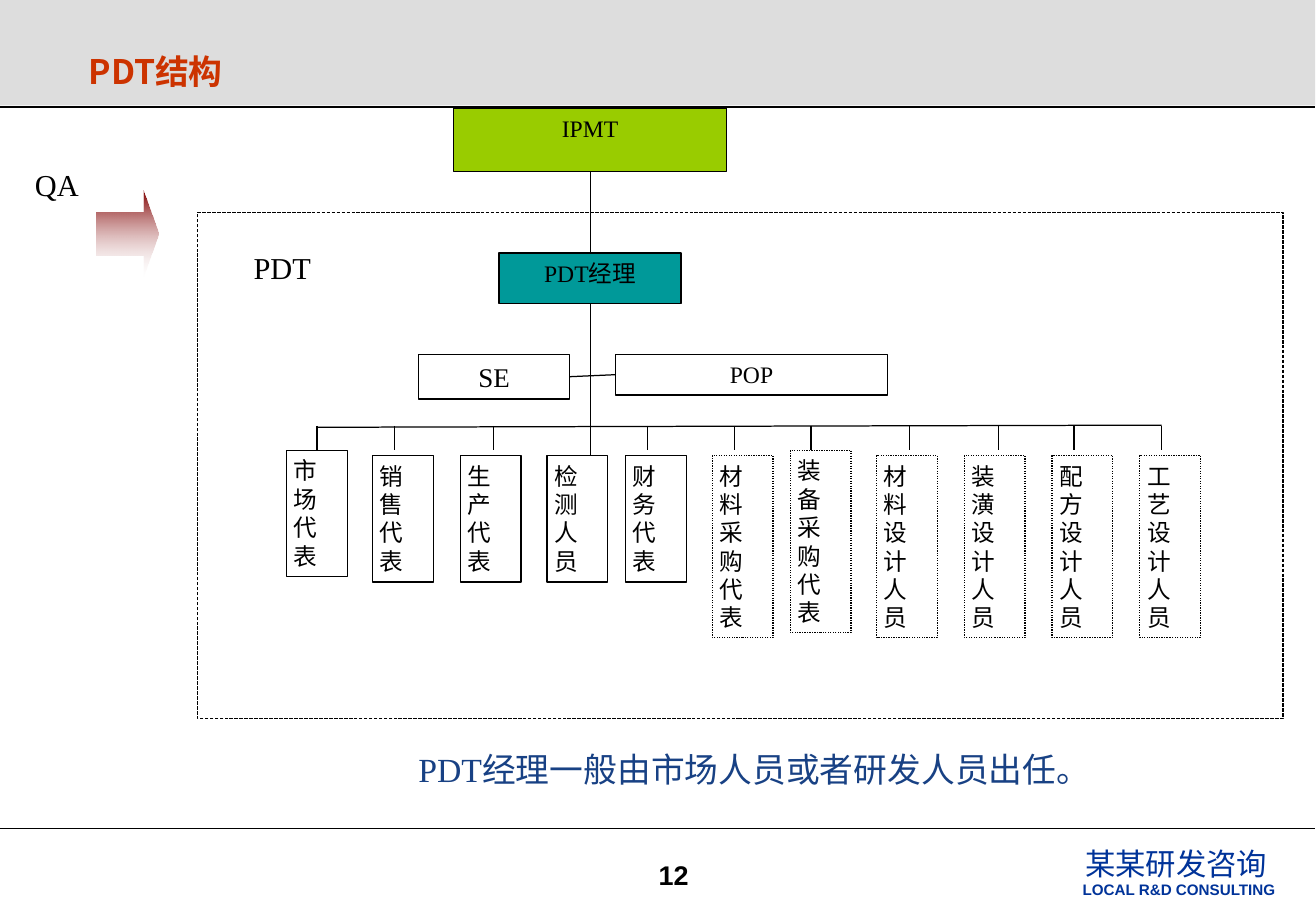
import pptx
import pptx.dml.color
import pptx.enum.dml
import pptx.enum.shapes
import pptx.enum.text
import pptx.oxml.ns
import pptx.util
from lxml import etree

Pt = pptx.util.Pt
SHAPES = pptx.enum.shapes.MSO_SHAPE
DASH = pptx.enum.dml.MSO_LINE
ALIGN = pptx.enum.text.PP_ALIGN
ANCHOR = pptx.enum.text.MSO_ANCHOR
qn = pptx.oxml.ns.qn
rgb = pptx.dml.color.RGBColor.from_string

SERIF, SANS, CJK = "Times New Roman", "Arial", "Noto Sans CJK SC"
BLACK = "000000"

deck = pptx.Presentation()
deck.slide_width, deck.slide_height = Pt(780.48), Pt(540)
page = deck.slides.add_slide(deck.slide_layouts[6])


def add_box(bounds, text="", size=14, font=SERIF, color=BLACK, bold=False, align=ALIGN.LEFT,
            anchor=ANCHOR.TOP, side_inset=7.2, fill=None, line=None, dash=None):
    """Add a rectangle, or a text box when it has neither fill nor line."""
    bounds = [Pt(value) for value in bounds]
    if fill or line:
        box = page.shapes.add_shape(SHAPES.RECTANGLE, *bounds)
        box.shadow.inherit = False
        box.fill.background()
        box.line.fill.background()
    else:
        box = page.shapes.add_textbox(*bounds)
    if fill:
        box.fill.solid()
        box.fill.fore_color.rgb = rgb(fill)
    if line:
        box.line.color.rgb = rgb(line)
        box.line.width = Pt(0.75)
        box.line.dash_style = dash
    if text:
        frame = box.text_frame
        frame.text = text
        frame.word_wrap = True
        frame.vertical_anchor = anchor
        frame.margin_left = frame.margin_right = Pt(side_inset)
        frame.margin_top = frame.margin_bottom = Pt(3.6)
        para = frame.paragraphs[0]
        para.alignment = align
        span = para.runs[0]
        span.font.size, span.font.name, span.font.bold = Pt(size), font, bold
        span.font.color.rgb = rgb(color)
        etree.SubElement(span.font._element, qn("a:ea"), typeface=CJK)
    return box


def add_line(x1, y1, x2, y2):
    line = page.shapes.add_connector(
        pptx.enum.shapes.MSO_CONNECTOR.STRAIGHT, Pt(x1), Pt(y1), Pt(x2), Pt(y2))
    line.line.color.rgb = rgb(BLACK)
    line.line.width = Pt(0.75)
    etree.SubElement(line._element.spPr, qn("a:effectLst"))
    return line


# Header and footer
add_box((0, 0, 780, 62.6), fill="DDDDDD")
for rule_y in (63.4, 491):
    add_line(0, rule_y, 780, rule_y)
add_box((45.4, 23.8, 156, 36), "PDT结构", 20, CJK, "CC3300", True, anchor=ANCHOR.MIDDLE)
add_box((362, 505.4, 75, 30), "12", 16, SANS, bold=True, align=ALIGN.CENTER)
add_box((636.5, 497.5, 133, 29), "某某研发咨询", 18, color="003399")
add_box((635, 518.4, 140.4, 18), "LOCAL R&D CONSULTING", 9, SANS, "003399", True)

# Team frame and labels
add_box((117, 126, 644, 300), line=BLACK, dash=DASH.SQUARE_DOT)
add_box((143.3, 144, 72, 29), "PDT", 18)
add_box((13.7, 95, 72, 29), "QA", 18)
add_box((241, 440, 425, 32), "PDT经理一般由市场人员或者研发人员出任。", 20, color="184184")

qa_arrow = page.shapes.add_shape(SHAPES.RIGHT_ARROW, Pt(57), Pt(113), Pt(37), Pt(51))
qa_arrow.shadow.inherit = False
qa_arrow.adjustments[0], qa_arrow.adjustments[1] = 0.5, 0.25
qa_arrow.line.fill.background()
qa_arrow.fill.gradient()
qa_arrow.fill.gradient_angle = 270
for stop, color in zip(qa_arrow.fill.gradient_stops, ("800000", "FFFFFF")):
    stop.color.rgb = rgb(color)
fade_end = list(qa_arrow._element.spPr.iter(qn("a:srgbClr")))[-1]
etree.SubElement(fade_end, qn("a:alpha"), val="17000")

# Management levels
ipmt = add_box((269, 64, 162, 37.5), "IPMT", align=ALIGN.CENTER, fill="99CC00", line=BLACK)
manager = add_box((296, 150, 108, 30), "PDT经理", align=ALIGN.CENTER, fill="009999", line=BLACK)
se = add_box((248, 210, 90, 26.6), "SE", 16, align=ALIGN.CENTER, side_inset=1.4, line=BLACK)
pop = add_box((365, 210, 161.5, 24.2), "POP", align=ALIGN.CENTER, side_inset=1.4, line=BLACK)

ipmt_link = add_line(350, 101.5, 350, 150)
ipmt_link.begin_connect(ipmt, 2)
ipmt_link.end_connect(manager, 0)
staff_link = add_line(338, 223, 365, 222)
staff_link.begin_connect(se, 3)
staff_link.end_connect(pop, 1)
trunk = add_line(350, 180, 350, 270)
trunk.begin_connect(manager, 2)

# Team members: name, left, top, x of the drop line (the trunk serves 检测人员)
add_line(188, 253.3, 689, 252)
members = [
    ("市场代表", 170, 267, 188),
    ("销售代表", 221, 270, 234),
    ("生产代表", 273, 270, 292.5),
    ("检测人员", 324.5, 270, None),
    ("财务代表", 371, 270, 384),
    ("材料采购代表", 422.5, 270, 435.5),
    ("装备采购代表", 468.7, 267, 481),
    ("材料设计人员", 520, 270, 539.5),
    ("装潢设计人员", 572, 270, 592),
    ("配方设计人员", 624, 270, 637),
    ("工艺设计人员", 676, 270, 689),
]
for name, left, top, drop_x in members:
    extended = len(name) > 4
    member = add_box((left, top, 36, 108 if extended else 75), name, side_inset=4.3,
                     line=BLACK, dash=DASH.ROUND_DOT if extended else None)
    if drop_x:
        drop = add_line(drop_x, 252.5, drop_x, 266.5)
        if drop_x == left + 18:
            drop.end_connect(member, 0)

deck.save("out.pptx")
